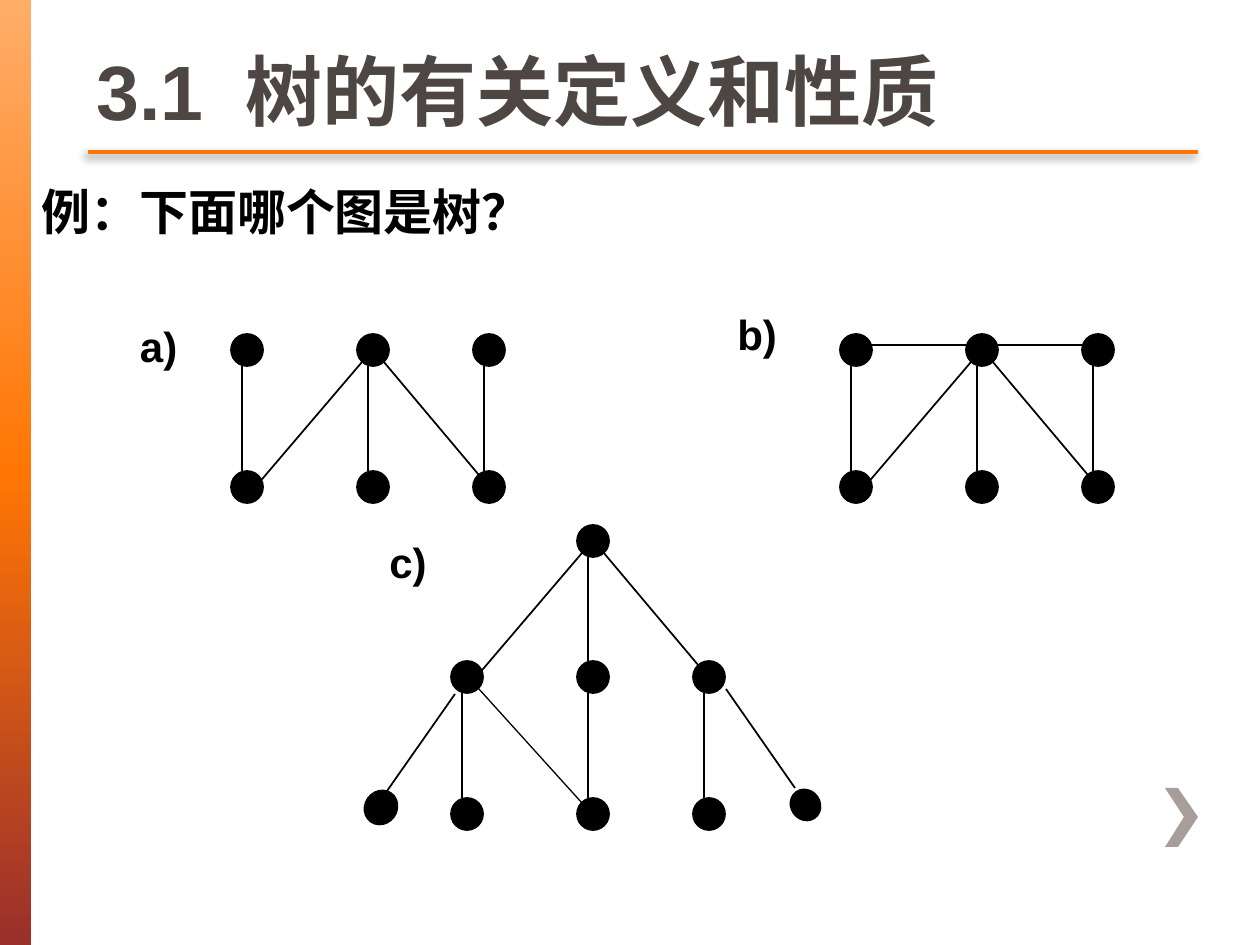
from lxml.etree import SubElement
from pptx import Presentation
from pptx.dml.color import RGBColor
from pptx.enum.shapes import MSO_CONNECTOR, MSO_SHAPE
from pptx.enum.text import MSO_ANCHOR, MSO_AUTO_SIZE
from pptx.oxml.ns import qn
from pptx.util import Emu, Pt

SCALE = 914400 / 126
NODE = 32
ROW_GAP = 137
COLUMNS = (0, 126, 242)


def px(value):
    return Emu(round(value * SCALE))


def color(value):
    return RGBColor.from_string(value)


class Sketch:
    ink = "000000"
    font = "Arial"

    def __init__(self, page):
        self.page = page
        self.target = page.shapes

    def open_group(self):
        self.target = self.page.shapes.add_group_shape().shapes

    def close_group(self):
        self.target = self.page.shapes

    def gradient_bar(self, left, top, width, height, stops):
        bar = self.target.add_shape(MSO_SHAPE.RECTANGLE, px(left), px(top), px(width), px(height))
        bar.shadow.inherit = False
        bar.line.fill.background()
        bar.fill.gradient()
        bar.fill.gradient_angle = 270
        stop_list = next(bar._element.iter(qn("a:gsLst")))
        for stop in list(stop_list):
            stop_list.remove(stop)
        for position, value in stops:
            stop = SubElement(stop_list, qn("a:gs"), pos=str(position * 1000))
            SubElement(stop, qn("a:srgbClr"), val=value)

    def polygon(self, points, fill):
        builder = self.target.build_freeform(*points[0], scale=SCALE)
        builder.add_line_segments(points[1:], close=True)
        outline = builder.convert_to_shape()
        outline.shadow.inherit = False
        outline.fill.solid()
        outline.fill.fore_color.rgb = color(fill)
        outline.line.fill.background()

    def line(self, x1, y1, x2, y2, width=1, stroke=ink, shadow=False):
        edge = self.target.add_connector(MSO_CONNECTOR.STRAIGHT, px(x1), px(y1), px(x2), px(y2))
        edge.line.width = Pt(width)
        edge.line.color.rgb = color(stroke)
        effects = SubElement(edge._element.spPr, qn("a:effectLst"))
        if shadow:
            outer = SubElement(effects, qn("a:outerShdw"), blurRad=str(Pt(5)), dist=str(Pt(3)),
                               dir="8100000", algn="tr", rotWithShape="0")
            tint = SubElement(outer, qn("a:srgbClr"), val=self.ink)
            SubElement(tint, qn("a:alpha"), val="45000")

    def node(self, left, top, width=NODE, height=NODE, rotation=0):
        dot = self.target.add_shape(MSO_SHAPE.OVAL, px(left), px(top), px(width), px(height))
        dot.shadow.inherit = False
        dot.rotation = rotation
        dot.fill.solid()
        dot.fill.fore_color.rgb = color(self.ink)
        dot.line.color.rgb = color(self.ink)
        dot.line.width = Pt(1)

    def text(self, words, left, top, width, height, size, font=font, ink=ink, wrap=True, title=False):
        box = self.target.add_textbox(px(left), px(top), px(width), px(height))
        frame = box.text_frame
        frame.word_wrap = wrap
        frame.auto_size = MSO_AUTO_SIZE.NONE if title else MSO_AUTO_SIZE.SHAPE_TO_FIT_TEXT
        frame.vertical_anchor = MSO_ANCHOR.BOTTOM if title else MSO_ANCHOR.TOP
        para = frame.paragraphs[0]
        para.text = words[0]
        for part in words[1:]:
            para.add_run().text = part
        for span in para.runs:
            span.font.size = Pt(size)
            span.font.name = font
            span.font.bold = True
            span.font.color.rgb = color(ink)
        return para

    def label(self, words, left, top, width):
        self.text([words], left, top, width, 63, 24, wrap=False)

    def row(self, left, top):
        for column in COLUMNS:
            self.node(left + column, top)

    def drops(self, left, top):
        for column in COLUMNS:
            x = left + column + 11
            self.line(x, top + NODE, x, top + ROW_GAP)

    def slants(self, left, top):
        self.line(left + 147, top + 21, left + 253, top + 147)
        self.line(left + 137, top + 21, left + 21, top + 157)

    def two_rows(self, left, top):
        self.row(left, top)
        self.row(left, top + ROW_GAP)
        self.drops(left, top)


deck = Presentation()
deck.slide_width, deck.slide_height = px(1260), px(945)
page = deck.slides.add_slide(deck.slide_layouts[6])
sketch = Sketch(page)

sketch.gradient_bar(0, 0, 31, 945, [(0, "FFAD69"), (50, "FF7605"), (100, "9A2F2C")])
sketch.polygon([(1178, 788), (1165, 788), (1184, 817), (1165, 847), (1178, 847), (1198, 817)], "A79D99")
sketch.line(88, 152, 1198, 152, width=2.5, stroke="FF7605", shadow=True)
title = sketch.text(["3.1", " ", "树的有关定义和性质"], 84, 0, 1110, 142, 44, ink="4D4643", title=True)
title.runs[1].font._element.set("spc", "1200")
sketch.text(["例：下面哪个图是树？"], 29, 175, 1188, 72, 28, font="Roboto")

for name, label_box, left, closed in (
    (" a)", (116, 314, 74), 231, False),
    ("b)", (725, 302, 66), 840, True),
):
    sketch.open_group()
    sketch.two_rows(left, 334)
    sketch.slants(left, 334)
    if closed:
        sketch.line(left + 21, 345, left + 253, 345)
    sketch.label(name, *label_box)

sketch.open_group()
sketch.node(577, 525)
sketch.line(588, 557, 588, 661)
sketch.slants(451, 525)
sketch.two_rows(451, 661)
sketch.line(455, 694, 387, 791)
sketch.node(365, 790, 32, 35, 35.2)
sketch.line(726, 689, 795, 788)
sketch.node(791, 789, 29, 32, 324.8)
sketch.label("c)", 377, 530, 63)
sketch.close_group()
sketch.line(469, 678, 592, 814, width=0.75)

deck.save("out.pptx")
